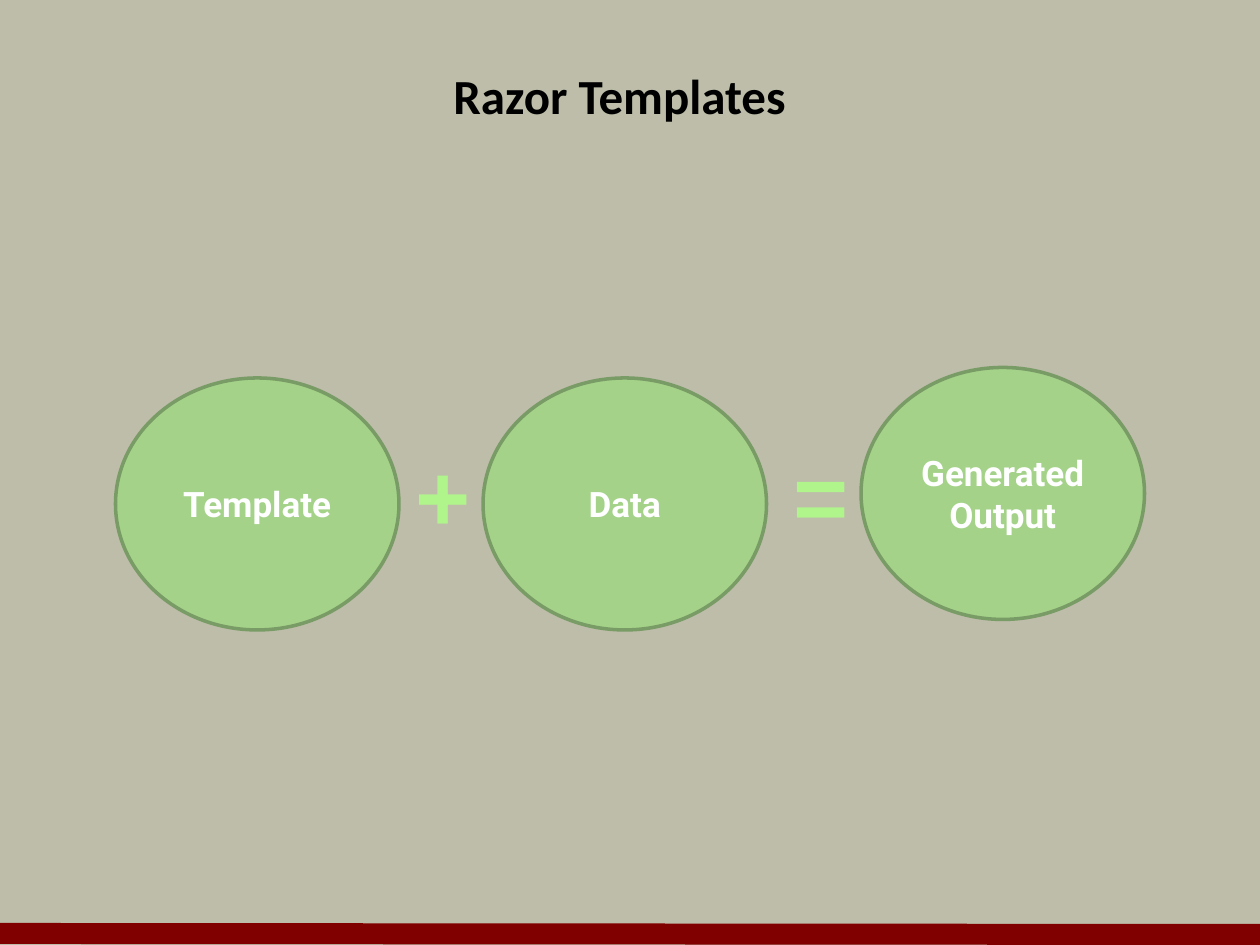
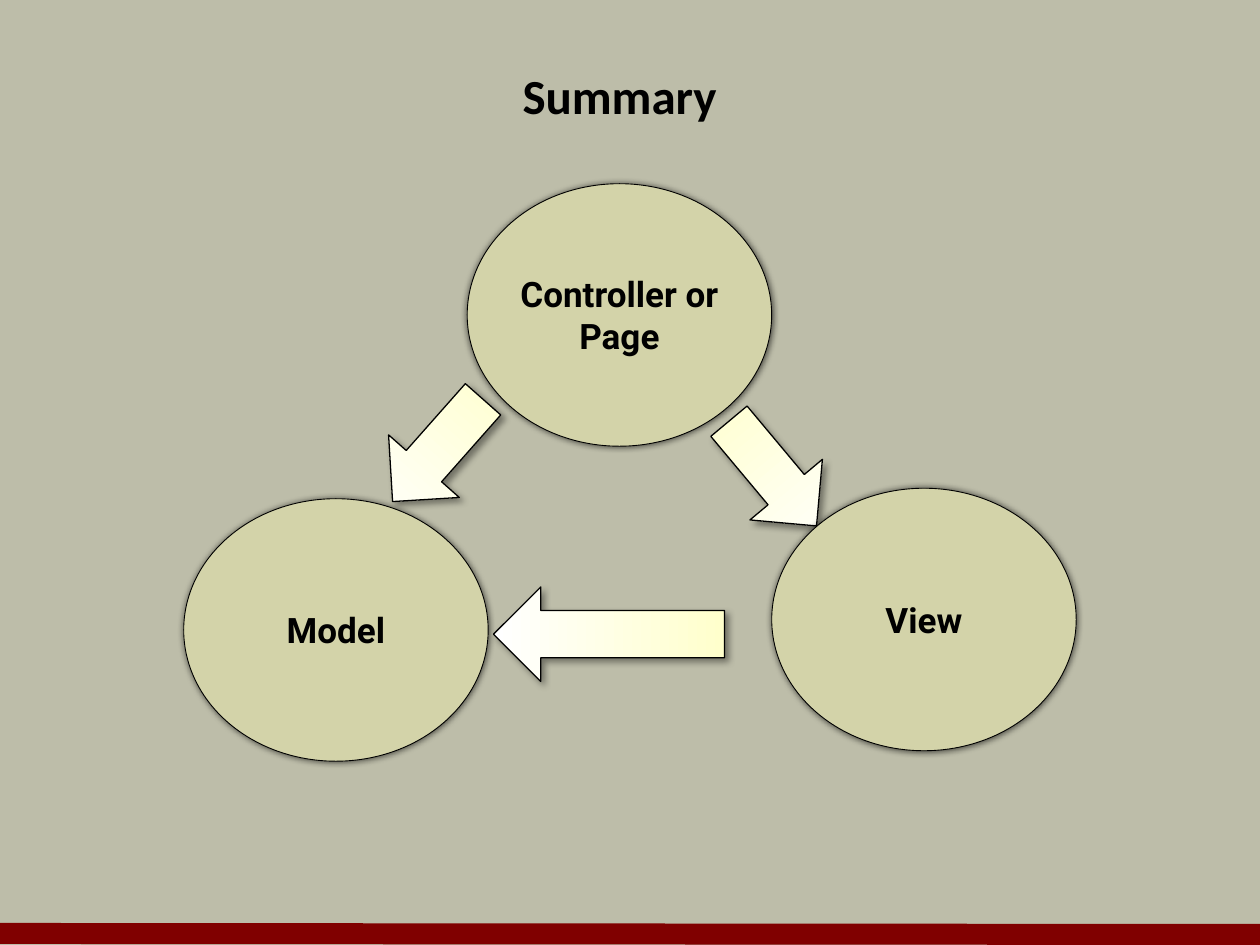
"""Build two slides on Razor templates and the controller, model and view cycle."""
from lxml import etree
from pptx import Presentation
from pptx.dml.color import RGBColor
from pptx.enum.shapes import MSO_CONNECTOR, MSO_SHAPE
from pptx.enum.text import MSO_ANCHOR, MSO_AUTO_SIZE, PP_ALIGN
from pptx.oxml import parse_xml
from pptx.util import Pt

PX = 7620
OVAL, ARROW = MSO_SHAPE.OVAL, MSO_SHAPE.DOWN_ARROW
STRAIGHT = MSO_CONNECTOR.STRAIGHT
MIDDLE, TOP, CENTER = MSO_ANCHOR.MIDDLE, MSO_ANCHOR.TOP, PP_ALIGN.CENTER
NO_FIT, GROW = MSO_AUTO_SIZE.NONE, MSO_AUTO_SIZE.SHAPE_TO_FIT_TEXT
A = "http://schemas.openxmlformats.org/drawingml/2006/main"

THEME = {
    "background": "BDBDA9",
    "band": ("800000", 12),
    "title": {
        "font": {"name": "Calibri", "size": Pt(28), "bold": True},
        "color": [(0, "000000")],
        "frame": {"word_wrap": True, "vertical_anchor": MIDDLE, "auto_size": NO_FIT},
    },
    "operator": {
        "font": {"name": "Arial", "size": Pt(54), "bold": True},
        "color": [(0.1, "B0F58B"), (0.75, "76A958")],
        "frame": {"word_wrap": False, "vertical_anchor": TOP, "auto_size": GROW},
        "outline": ("F8FBF6", 0.9),
        "spacing": 3,
    },
    "light label": {
        "font": {"name": "Roboto", "size": Pt(20), "bold": True},
        "color": [(0, "FFFFFF")],
        "frame": {"word_wrap": False, "vertical_anchor": MIDDLE, "auto_size": NO_FIT},
    },
    "dark label": {
        "font": {"name": "Roboto", "size": Pt(20), "bold": True},
        "color": [(0, "000000")],
        "frame": {"word_wrap": False, "vertical_anchor": MIDDLE, "auto_size": NO_FIT},
    },
    "ingredient": {"fill": [(0, "A4D289")], "line": ("799B65", 2),
                   "shadow": None, "label": "light label"},
    "role": {"fill": [(0, "D3D3A9")], "line": ("000000", 0.5),
             "shadow": {"alpha": 64, "blur": 4, "dist": 0, "dir": 0}, "label": "dark label"},
    "flow": {"fill": [(0, "FFFFCC"), (1, "FFFFFF")], "line": ("000000", 0.75),
             "shadow": {"alpha": 40, "blur": 4, "dist": 3, "dir": 45}, "label": None},
}

TITLE_BOX = (50, 40, 1080, 100)
BAND_ENDS = (0, 889, 1200, 890)
INGREDIENT_SIZE, ROLE_SIZE, OPERATOR_SIZE = (270, 240), (290, 250), (83, 121)

SLIDES = [
    {
        "title": "Razor Templates",
        "figures": [
            (OVAL, (110, 360, *INGREDIENT_SIZE), 0, "ingredient", "Template"),
            (OVAL, (460, 360, *INGREDIENT_SIZE), 0, "ingredient", "Data"),
            (OVAL, (820, 350, *INGREDIENT_SIZE), 0, "ingredient", "Generated\nOutput"),
        ],
        "operators": [("+", 380), ("=", 740)],
    },
    {
        "title": "Summary",
        "figures": [
            (ARROW, (691, 386, 90, 130), 320.1, "flow", ""),
            (ARROW, (372, 364, 90, 130), 41.5, "flow", ""),
            (ARROW, (535, 494, 90, 220), 90, "flow", ""),
            (OVAL, (445, 175, *ROLE_SIZE), 0, "role", "Controller or\nPage"),
            (OVAL, (175, 475, *ROLE_SIZE), 0, "role", "Model"),
            (OVAL, (735, 465, *ROLE_SIZE), 0, "role", "View"),
        ],
        "operators": [],
    },
]


def paint(fill, stops):
    """Fill with one colour, or with a gradient running from top to bottom."""
    if len(stops) == 1:
        fill.solid()
        fill.fore_color.rgb = RGBColor.from_string(stops[0][1])
        return
    fill.gradient()
    fill.gradient_angle = 270
    for stop, (position, color) in zip(fill.gradient_stops, stops):
        stop.position = position
        stop.color.rgb = RGBColor.from_string(color)


def write(holder, text, style):
    """Put centred text in a shape, one paragraph per line."""
    frame = holder.text_frame
    frame.text = text
    for key, value in style["frame"].items():
        setattr(frame, key, value)
    for paragraph in frame.paragraphs:
        paragraph.alignment = CENTER
        font = paragraph.runs[0].font
        for key, value in style["font"].items():
            setattr(font, key, value)
        paint(font.fill, style["color"])
        if "outline" in style:
            color, width = style["outline"]
            properties = paragraph.runs[0]._r.get_or_add_rPr()
            properties.set("spc", str(style["spacing"] * 100))
            properties.insert(0, parse_xml(
                f'<a:ln xmlns:a="{A}" w="{Pt(width)}"><a:solidFill>'
                f'<a:srgbClr val="{color}"/></a:solidFill></a:ln>'))


deck = Presentation()
deck.slide_width, deck.slide_height = 1200 * PX, 900 * PX
paint(deck.slide_master.background.fill, [(0, THEME["background"])])

for content in SLIDES:
    slide = deck.slides.add_slide(deck.slide_layouts[6])

    band = slide.shapes.add_connector(STRAIGHT, *(v * PX for v in BAND_ENDS))
    band_color, band_width = THEME["band"]
    paint(band.line.fill, [(0, band_color)])
    band.line.width = Pt(band_width)
    etree.SubElement(band._element.spPr, f"{{{A}}}effectLst")

    title = slide.shapes.add_textbox(*(v * PX for v in TITLE_BOX))
    write(title, content["title"], THEME["title"])

    for kind, box, rotation, look_name, label in content["figures"]:
        look = THEME[look_name]
        figure = slide.shapes.add_shape(kind, *(v * PX for v in box))
        figure.rotation = rotation
        paint(figure.fill, look["fill"])
        line_color, line_width = look["line"]
        paint(figure.line.fill, [(0, line_color)])
        figure.line.width = Pt(line_width)
        figure.shadow.inherit = False
        if look["shadow"]:
            shadow = look["shadow"]
            effects = figure._element.spPr.find(f"{{{A}}}effectLst")
            effects.append(parse_xml(
                f'<a:outerShdw xmlns:a="{A}" blurRad="{Pt(shadow["blur"])}" '
                f'dist="{Pt(shadow["dist"])}" dir="{shadow["dir"] * 60000}" '
                f'algn="ctr" rotWithShape="0"><a:srgbClr val="000000">'
                f'<a:alpha val="{shadow["alpha"] * 1000}"/></a:srgbClr></a:outerShdw>'))
        if label:
            write(figure, label, THEME[look["label"]])

    for sign, left in content["operators"]:
        operator = slide.shapes.add_textbox(*(v * PX for v in (left, 410, *OPERATOR_SIZE)))
        write(operator, sign, THEME["operator"])

deck.save("out.pptx")
